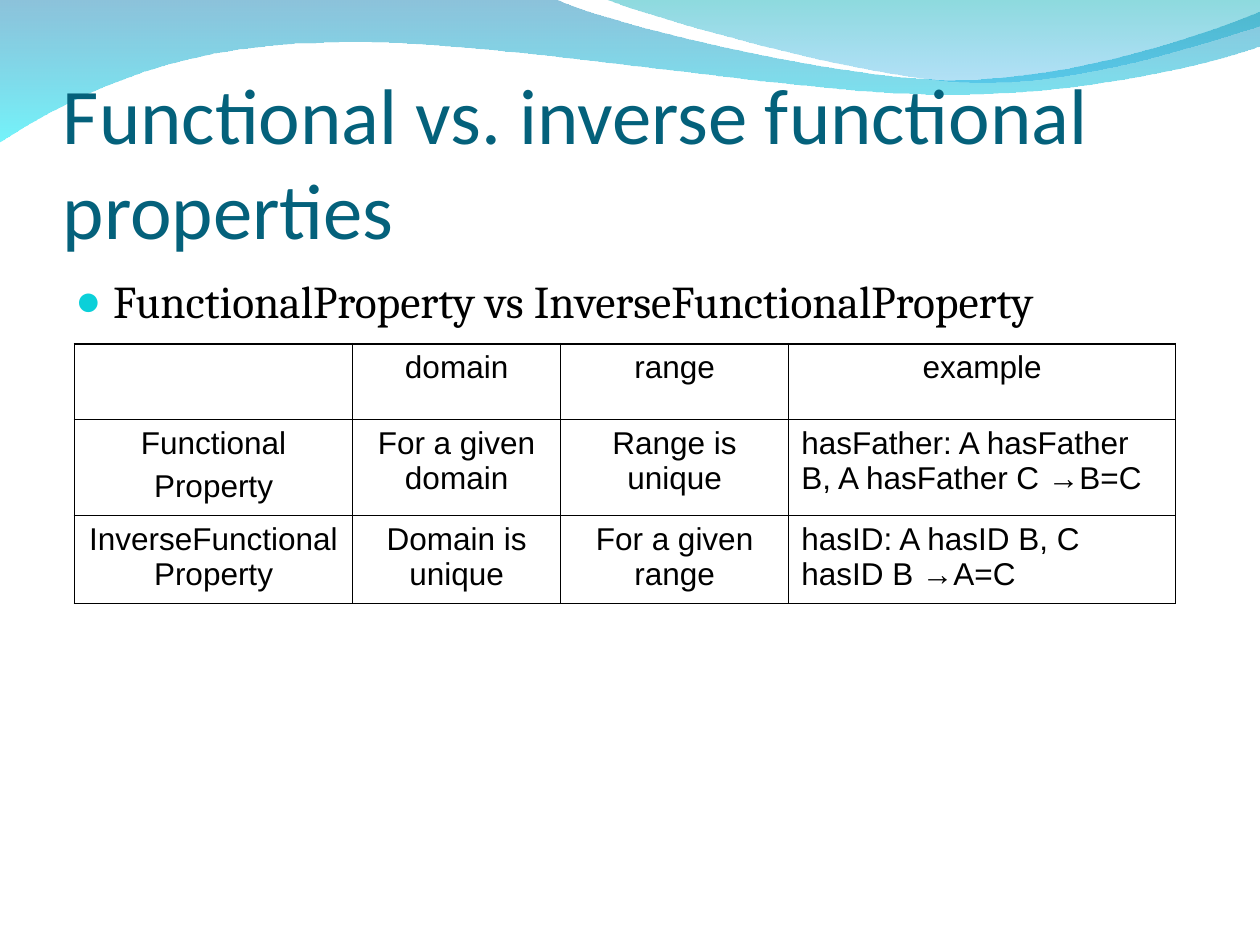
from lxml import etree
from pptx import Presentation
from pptx.dml.color import RGBColor
from pptx.enum import text
from pptx.oxml.ns import qn
from pptx.util import Cm, Pt

TITLE = "Functional vs. inverse functional properties"
POINT = "FunctionalProperty vs InverseFunctionalProperty"
ROWS = [
    ["", "domain", "range", "example"],
    ["Functional\nProperty", "For a given domain", "Range is unique",
     "hasFather: A hasFather B, A hasFather C →B=C"],
    ["InverseFunctionalProperty", "Domain is unique", "For a given range",
     "hasID: A hasID B, C hasID B →A=C"],
]
WIDTHS = [5.61, 4.19, 4.6, 7.8]
HEIGHTS = [1.52, 1.93, 1.78]
HUES = {"title": "04617B", "ink": "000000", "bullet": "0BD0D9",
        "blue": "0079AF", "aqua": "00EBF8", "teal": "00ADB6", "sky": "009BE5"}
FONTS = {
    "title": {"name": "Calibri", "size": Pt(45)},
    "point": {"name": "Cambria", "size": Pt(26)},
    "cell": {"name": "Arial", "size": Pt(18)},
}
# Each wave: parts of one point (line) or three (curve) in cm, then stops (hue, opacity %)
WAVES = [
    ([[(0, -0.03)], [(11.18, -0.03)],
      [(12.09, 0.43), (16.87, 1.6), (19.25, 1.6)],
      [(21.67, 1.6), (24.33, 0.66), (25.4, 0.23)],
      [(25.43, 0.91)],
      [(24.97, 1.12), (22.1, 1.93), (18.95, 1.9)],
      [(15.8, 1.9), (9.7, 0.71), (6.53, 0.86)],
      [(3.28, 0.89), (1.17, 2.11), (-0.03, 2.87)]],
     [("blue", 45), ("aqua", 55)]),
    ([[(12.17, -0.03)],
      [(12.93, 0.28), (17.32, 1.57), (19.53, 1.65)],
      [(21.74, 1.75), (24.41, 0.81), (25.4, 0.53)],
      [(25.4, 0)]],
     [("teal", 45), ("sky", 30)]),
]


def hue(key):
    return RGBColor.from_string(HUES[key])


def bend(shape, parts):
    """Merge each run of three line steps that stands for a curve."""
    steps = shape._element.iter(qn("a:lnTo"))
    steps = iter(list(steps))
    for part in parts[1:]:
        nodes = [next(steps) for _ in part]
        if len(nodes) == 3:
            curve = etree.Element(qn("a:cubicBezTo"))
            nodes[0].addprevious(curve)
            for node in nodes:
                curve.append(node[0])
                node.getparent().remove(node)


def wave(slide, parts, stops):
    pts = [(Cm(x), Cm(y)) for part in parts for x, y in part]
    pen = slide.shapes.build_freeform(*pts[0])
    pen.add_line_segments(pts[1:], close=True)
    shape = pen.convert_to_shape()
    bend(shape, parts)
    shape.shadow.inherit = False
    shape.line.fill.background()
    shape.fill.gradient()
    shape.fill.gradient_angle = 270
    for n, (stop, (key, _)) in enumerate(zip(shape.fill.gradient_stops, stops)):
        stop.color.rgb = hue(key)
        stop.position = n
    for node, (_, alpha) in zip(shape._element.spPr.iter(qn("a:srgbClr")), stops):
        etree.SubElement(node, qn("a:alpha"), val=str(alpha * 1000))


def style(para, kind, key):
    for name, val in FONTS[kind].items():
        setattr(para.font, name, val)
    para.font.color.rgb = hue(key)


def box(slide, area, words, kind, key, form):
    frame = slide.shapes.add_textbox(*map(Cm, area)).text_frame
    for name, val in form.items():
        setattr(frame, name, val)
    frame.text = words
    para = frame.paragraphs[0]
    if kind == "point":
        bullet(para)
    style(para, kind, key)


def bullet(para):
    props = para._p.get_or_add_pPr()
    props.set("marL", str(Cm(0.76)))
    props.set("indent", str(-Cm(0.76)))
    tint = etree.SubElement(props, qn("a:buClr"))
    etree.SubElement(tint, qn("a:srgbClr"), val=HUES["bullet"])
    etree.SubElement(props, qn("a:buSzPct"), val="95000")
    etree.SubElement(props, qn("a:buFont"), typeface="Arial")
    etree.SubElement(props, qn("a:buChar"), char="●")


def edge(cell, outer):
    """Draw the four borders, heavier on the sides named in outer."""
    props = cell._tc.get_or_add_tcPr()
    for side in "LRTB":
        wide = Pt(1.08 if side in outer else 0.45)
        line = etree.SubElement(props, qn("a:ln" + side), w=str(wide))
        fill = etree.SubElement(line, qn("a:solidFill"))
        etree.SubElement(fill, qn("a:srgbClr"), val=HUES["ink"])
    cell.fill.background()


def grid(slide):
    rows, cols = len(ROWS), len(WIDTHS)
    table = slide.shapes.add_table(rows, cols, Cm(1.5), Cm(6.93),
                                   Cm(sum(WIDTHS)), Cm(sum(HEIGHTS))).table
    table.first_row = table.horz_banding = False
    for col, wide in zip(table.columns, WIDTHS):
        col.width = Cm(wide)
    for r, (row, high) in enumerate(zip(ROWS, HEIGHTS)):
        table.rows[r].height = Cm(high)
        for c, words in enumerate(row):
            cell = table.cell(r, c)
            cell.text = words
            left = r > 0 and c == cols - 1
            for n, para in enumerate(cell.text_frame.paragraphs):
                para.alignment = text.PP_ALIGN.LEFT if left else text.PP_ALIGN.CENTER
                if n:
                    para.space_before = Pt(4.5)
                style(para, "cell", "ink")
            sides = {"L": c == 0, "R": c == cols - 1, "T": r == 0, "B": r == rows - 1}
            edge(cell, [s for s, out in sides.items() if out])


def main():
    deck = Presentation()
    deck.slide_width, deck.slide_height = Cm(25.4), Cm(19.05)
    slide = deck.slides.add_slide(deck.slide_layouts[6])
    for parts, stops in WAVES:
        wave(slide, parts, stops)
    box(slide, (1.27, 1.96, 22.86, 3.18), TITLE, "title", "title",
        {"word_wrap": True, "vertical_anchor": text.MSO_ANCHOR.BOTTOM,
         "margin_left": 0, "margin_right": 0, "margin_bottom": 0})
    box(slide, (1.27, 5.38, 22.86, 12.19), POINT, "point", "ink", {"word_wrap": True})
    grid(slide)
    deck.save("out.pptx")


if __name__ == "__main__":
    main()
